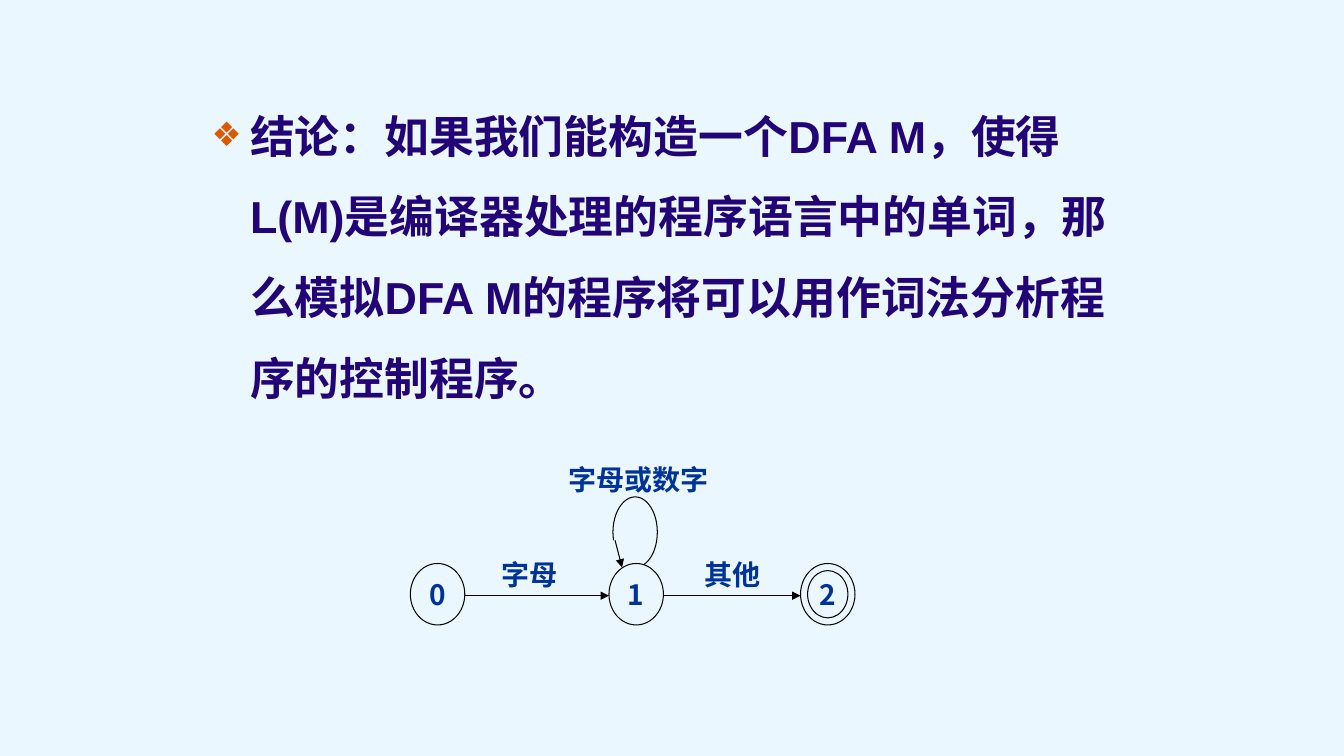
"""Slide on scanning words with a DFA, with its state graph."""
from pptx import Presentation
from pptx.dml.color import RGBColor
from pptx.enum.dml import MSO_LINE
from pptx.enum.shapes import MSO_CONNECTOR, MSO_SHAPE
from pptx.enum.text import MSO_ANCHOR, PP_ALIGN
from pptx.oxml.ns import qn
from pptx.util import Inches, Pt
from lxml import etree

RING, DONUT, ARC = MSO_SHAPE.FLOWCHART_CONNECTOR, MSO_SHAPE.DONUT, MSO_SHAPE.ARC
STRAIGHT, SOLID = MSO_CONNECTOR.STRAIGHT, MSO_LINE.SOLID
MIDDLE, TOP = MSO_ANCHOR.MIDDLE, MSO_ANCHOR.TOP
CENTER, LEFT = PP_ALIGN.CENTER, PP_ALIGN.LEFT
COLORS = {"back": "EBF7FF", "body": "220476", "mark": "DC5900",
          "label": "003399", "line": "000000"}
SANS, CJK = "Arial", "Noto Sans CJK SC"


def write(frame, text, size, face, color, align, anchor):
    """Add one bold run to a text frame."""
    frame.word_wrap = True
    frame.vertical_anchor = anchor
    para = frame.paragraphs[0]
    para.alignment = align
    para.space_before = Pt(0)
    run = para.add_run()
    run.text = text
    run.font.size = Pt(size)
    run.font.bold = True
    run.font.name = face
    run.font.color.rgb = RGBColor.from_string(COLORS[color])
    etree.SubElement(run.font._element, qn("a:ea"), typeface=face)
    return para


def trace(shape):
    """Give a shape the thin line of the graph."""
    shape.line.color.rgb = RGBColor.from_string(COLORS["line"])
    shape.line.width = Pt(0.75)
    shape.line.dash_style = SOLID


deck = Presentation()
deck.slide_width, deck.slide_height = Inches(13.33), Inches(7.5)
slide = deck.slides.add_slide(deck.slide_layouts[1])
slide.background.fill.solid()
slide.background.fill.fore_color.rgb = RGBColor.from_string(COLORS["back"])
title = slide.shapes.title._element
title.getparent().remove(title)

body = slide.placeholders[1]
body.left, body.top = Inches(2), Inches(0.76)
body.width, body.height = Inches(9.34), Inches(3.94)
para = write(body.text_frame,
             "结论：如果我们能构造一个DFA M，使得L(M)是编译器处理的程序语言中的单词，"
             "那么模拟DFA M的程序将可以用作词法分析程序的控制程序。",
             32, SANS, "body", LEFT, TOP)
para.line_spacing = 1.5
props = para._p.get_or_add_pPr()
props.set("marL", str(Inches(0.38)))
props.set("indent", str(Inches(-0.38)))
tint = etree.SubElement(props, qn("a:buClr"))
etree.SubElement(tint, qn("a:srgbClr"), val=COLORS["mark"])
etree.SubElement(props, qn("a:buSzPct"), val="75000")
etree.SubElement(props, qn("a:buChar"), char="❖")

wide, high, row, axis = 0.54, 0.61, 5.59, 5.91
states = [("0", 4.07, RING), ("1", 6.04, RING), ("2", 7.94, DONUT)]
for name, left, kind in states:
    node = slide.shapes.add_shape(kind, Inches(left), Inches(row),
                                  Inches(wide), Inches(high))
    node.shadow.inherit = False
    node.fill.background()
    trace(node)
    if kind == DONUT:
        node.adjustments[0] = 0.13
    frame = node.text_frame
    frame.margin_left = frame.margin_right = 0
    write(frame, name, 20, CJK, "label", CENTER, MIDDLE)

loop = slide.shapes.add_shape(ARC, Inches(6.08), Inches(4.93),
                              Inches(0.44), Inches(0.7))
loop.shadow.inherit = False
loop.fill.background()
trace(loop)
for slot, angle in enumerate((159, 75)):
    loop.adjustments[slot] = angle * 0.6

edges = [(left + wide, axis, goal, axis)
         for (_, left, _), (_, goal, _) in zip(states, states[1:])]
for ends in edges + [(6.1, 5.36, 6.17, 5.63)]:
    edge = slide.shapes.add_connector(STRAIGHT, *map(Inches, ends))
    trace(edge)
    etree.SubElement(edge.line._get_or_add_ln(), qn("a:tailEnd"), type="triangle")
    etree.SubElement(edge._element.spPr, qn("a:effectLst"))

for text, left, top, span in [("字母", 4.81, 5.48, 0.88),
                              ("其他", 6.78, 5.48, 0.97),
                              ("字母或数字", 5.42, 4.54, 1.83)]:
    label = slide.shapes.add_textbox(Inches(left), Inches(top),
                                     Inches(span), Inches(0.44))
    write(label.text_frame, text, 20, CJK, "label", CENTER, TOP)

deck.save("out.pptx")
